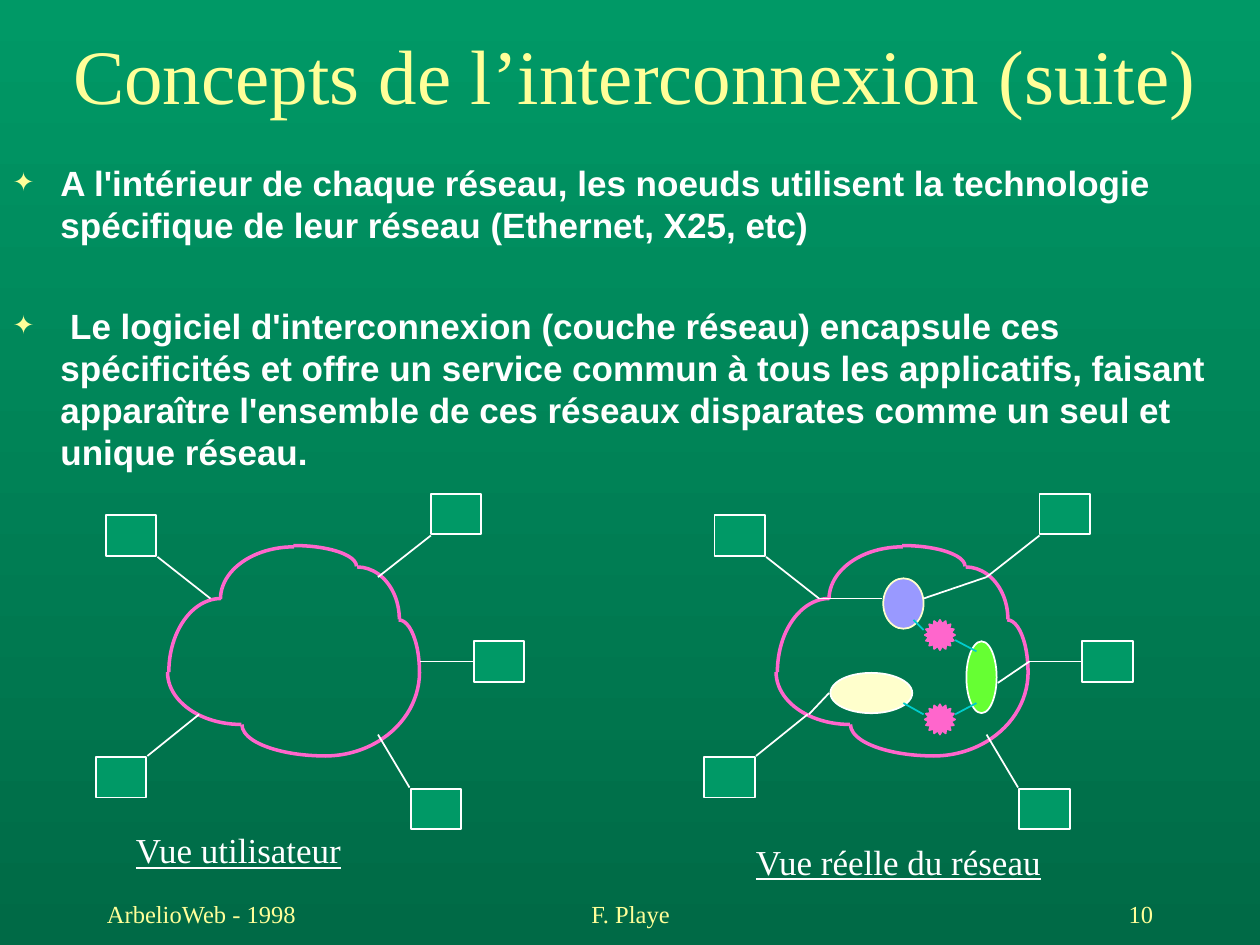
import dataclasses
import typing

import lxml.etree
import pptx
import pptx.dml.color
import pptx.enum.dml
import pptx.enum.shapes
import pptx.enum.text
import pptx.oxml.ns
import pptx.util

Inches = pptx.util.Inches
Pt = pptx.util.Pt
SHAPE = pptx.enum.shapes.MSO_SHAPE
ALIGN = pptx.enum.text.PP_ALIGN
ANCHOR = pptx.enum.text.MSO_ANCHOR
qn = pptx.oxml.ns.qn

COLORS = {
    "top": "009966", "bottom": "006A46", "title": "FFFF99", "text": "FFFFFF",
    "cloud": "FF66CC", "node": "009966", "link": "00CCCC", "cream": "FFFFCC",
    "green": "66FF33", "violet": "9999FF",
}
SERIF = "Times New Roman"
VIEW_STEP = 4.83
NODE_SIZE = (0.4, 0.32)
QUARTERS = {"tr": (270, 0), "tl": (180, 270), "bl": (90, 180), "br": (0, 90)}


class Box(typing.NamedTuple):
    x: float
    y: float
    w: float
    h: float

    def shifted(self, dx: float) -> "Box":
        return self._replace(x=self.x + dx)

    def lengths(self) -> list:
        return [Inches(v) for v in self]


@dataclasses.dataclass
class Arc:
    box: Box
    quarter: str


@dataclasses.dataclass
class Station:
    x: float
    y: float
    start: tuple
    end: tuple
    side: typing.Optional[int] = None


@dataclasses.dataclass
class Network:
    kind: typing.Any
    box: Box
    fill: str
    line: str


@dataclasses.dataclass
class Label:
    text: str
    box: Box
    style: dict


ARCS = [
    Arc(Box(1.83, 4.33, 1, 0.33), "tr"),
    Arc(Box(2.5, 4.5, 0.67, 0.83), "tr"),
    Arc(Box(3, 4.92, 0.33, 0.83), "tr"),
    Arc(Box(1.75, 4.34, 1.17, 0.83), "tl"),
    Arc(Box(1.34, 4.75, 0.83, 1.17), "tl"),
    Arc(Box(1.33, 4.92, 1.17, 0.83), "bl"),
    Arc(Box(1.92, 5.5, 1.33, 0.5), "bl"),
    Arc(Box(1.83, 4.67, 1.5, 1.33), "br"),
]
STATIONS = [
    Station(3.42, 3.92, (3.42, 4.25), (3, 4.58)),
    Station(3.76, 5.09, (3.76, 5.25), (3.33, 5.25), side=1),
    Station(0.84, 4.09, (1.25, 4.42), (1.67, 4.75)),
    Station(0.76, 6.01, (1.17, 6), (1.58, 5.67)),
    Station(3.26, 6.26, (3.25, 6.25), (3, 5.83)),
]
NETWORKS = [
    Network(SHAPE.OVAL, Box(6.59, 5.34, 0.65, 0.32), "cream", "text"),
    Network(SHAPE.OVAL, Box(7.67, 5.09, 0.24, 0.57), "green", "text"),
    Network(SHAPE.OVAL, Box(7.01, 4.59, 0.32, 0.4), "violet", "cream"),
    Network(SHAPE.STAR_16_POINT, Box(7.34, 5.59, 0.24, 0.24), "cloud", "cloud"),
    Network(SHAPE.STAR_16_POINT, Box(7.34, 4.92, 0.24, 0.24), "cloud", "cloud"),
]
LINKS = {
    "link": [
        ((7.58, 5.08), (7.75, 5.17)), ((7.25, 4.92), (7.33, 5)),
        ((7.17, 5.58), (7.33, 5.67)), ((7.58, 5.67), (7.75, 5.58)),
    ],
    "text": [
        ((7.92, 5.42), (8.17, 5.25)), ((7.33, 4.75), (7.83, 4.58)),
        ((6.5, 4.75), (7, 4.75)), ((6.42, 5.67), (6.58, 5.5)),
    ],
}
CAPTION = {"size": 20, "underline": True}
FOOTER = {"size": 14, "color": "title"}
CAPTIONS = [
    Label("Vue utilisateur", Box(0.98, 6.53, 1.85, 0.43), CAPTION),
    Label("Vue réelle du réseau", Box(5.9, 6.62, 2.48, 0.43), CAPTION),
]
FOOTERS = [
    Label("ArbelioWeb - 1998", Box(0.75, 7, 2.08, 0.5), FOOTER),
    Label("F. Playe", Box(3.42, 7, 3.17, 0.5), FOOTER | {"align": ALIGN.CENTER}),
    Label("10", Box(7.17, 7, 2.08, 0.5), FOOTER | {"align": ALIGN.RIGHT}),
]
BULLETS = [
    "A l'intérieur de chaque réseau, les noeuds utilisent la technologie "
    "spécifique de leur réseau (Ethernet, X25, etc)",
    " Le logiciel d'interconnexion (couche réseau) encapsule ces spécificités "
    "et offre un service commun à tous les applicatifs, faisant apparaître "
    "l'ensemble de ces réseaux disparates comme un seul et unique réseau.",
]


def rgb(name: str) -> pptx.dml.color.RGBColor:
    return pptx.dml.color.RGBColor.from_string(COLORS[name])


def write_text(p, text: str, *, size: float, color: str = "text", font: str = SERIF,
               bold: bool = False, underline: bool = False, align=ALIGN.LEFT) -> None:
    p.alignment = align
    r = p.add_run()
    r.text = text
    r.font.size = Pt(size)
    r.font.name = font
    r.font.bold = bold
    r.font.underline = underline
    r.font.color.rgb = rgb(color)


def place(sp, box: Box) -> None:
    sp.left, sp.top, sp.width, sp.height = box.lengths()


def add_bullet(p) -> None:
    pPr = p._p.get_or_add_pPr()
    pPr.set("marL", str(Inches(0.38)))
    pPr.set("indent", str(Inches(-0.38)))
    clr = lxml.etree.SubElement(pPr, qn("a:buClr"))
    lxml.etree.SubElement(clr, qn("a:srgbClr"), val=COLORS["title"])
    lxml.etree.SubElement(pPr, qn("a:buSzPct"), val="75000")
    lxml.etree.SubElement(pPr, qn("a:buChar"), char="✦")


def add_label(s, label: Label, wrap: bool, anchor) -> None:
    tf = s.shapes.add_textbox(*label.box.lengths()).text_frame
    tf.word_wrap = wrap
    tf.vertical_anchor = anchor
    write_text(tf.paragraphs[0], label.text, **label.style)


def add_figure(s, kind, box: Box, fill: typing.Optional[str], line: str, width: float = 1):
    sp = s.shapes.add_shape(kind, *box.lengths())
    sp.shadow.inherit = False
    if fill:
        sp.fill.solid()
        sp.fill.fore_color.rgb = rgb(fill)
    else:
        sp.fill.background()
    sp.line.color.rgb = rgb(line)
    sp.line.width = Pt(width)
    return sp


def add_line(s, start: tuple, end: tuple, color: str):
    cx = s.shapes.add_connector(pptx.enum.shapes.MSO_CONNECTOR.STRAIGHT,
                                *[Inches(v) for v in (*start, *end)])
    cx.line.color.rgb = rgb(color)
    cx.line.width = Pt(1)
    lxml.etree.SubElement(cx._element.spPr, qn("a:effectLst"))
    return cx


def add_view(s, dx: float) -> None:
    for arc in ARCS:
        sp = add_figure(s, SHAPE.ARC, arc.box.shifted(dx), None, "cloud", 2)
        for i, degrees in enumerate(QUARTERS[arc.quarter]):
            sp.adjustments[i] = degrees * 0.6
    for st in STATIONS:
        node = add_figure(s, SHAPE.RECTANGLE, Box(st.x + dx, st.y, *NODE_SIZE), "node", "text")
        cx = add_line(s, (st.start[0] + dx, st.start[1]), (st.end[0] + dx, st.end[1]), "text")
        if st.side is not None:
            cx.begin_connect(node, st.side)


def main() -> None:
    prs = pptx.Presentation()
    prs.slide_width, prs.slide_height = Inches(10), Inches(7.5)
    s = prs.slides.add_slide(prs.slide_layouts[1])
    bg = s.background.fill
    bg.gradient()
    bg.gradient_angle = 270
    for stop, name in zip(bg.gradient_stops, ("top", "bottom")):
        stop.color.rgb = rgb(name)

    title, body = s.shapes.title, s.placeholders[1]
    place(title, Box(0.25, 0.31, 9.58, 0.55))
    place(body, Box(0, 1.23, 9.83, 2.85))
    for sp, anchor in ((title, ANCHOR.MIDDLE), (body, ANCHOR.TOP)):
        sp.text_frame.auto_size = pptx.enum.text.MSO_AUTO_SIZE.NONE
        sp.text_frame.vertical_anchor = anchor
    write_text(title.text_frame.paragraphs[0], "Concepts de l’interconnexion (suite)",
               size=44, color="title", align=ALIGN.CENTER)
    tf = body.text_frame
    for i, text in enumerate(BULLETS):
        p = tf.add_paragraph() if i else tf.paragraphs[0]
        add_bullet(p)
        p.space_before = Pt(34 if i else 0)
        write_text(p, text, size=20, font="Arial", bold=True)

    for dx in (0, VIEW_STEP):
        add_view(s, dx)
    for net in NETWORKS:
        add_figure(s, net.kind, net.box, net.fill, net.line)
    for color, links in LINKS.items():
        for start, end in links:
            add_line(s, start, end, color)
    for label in CAPTIONS:
        add_label(s, label, False, ANCHOR.TOP)
    for label in FOOTERS:
        add_label(s, label, True, ANCHOR.MIDDLE)
    prs.save("out.pptx")


if __name__ == "__main__":
    main()
